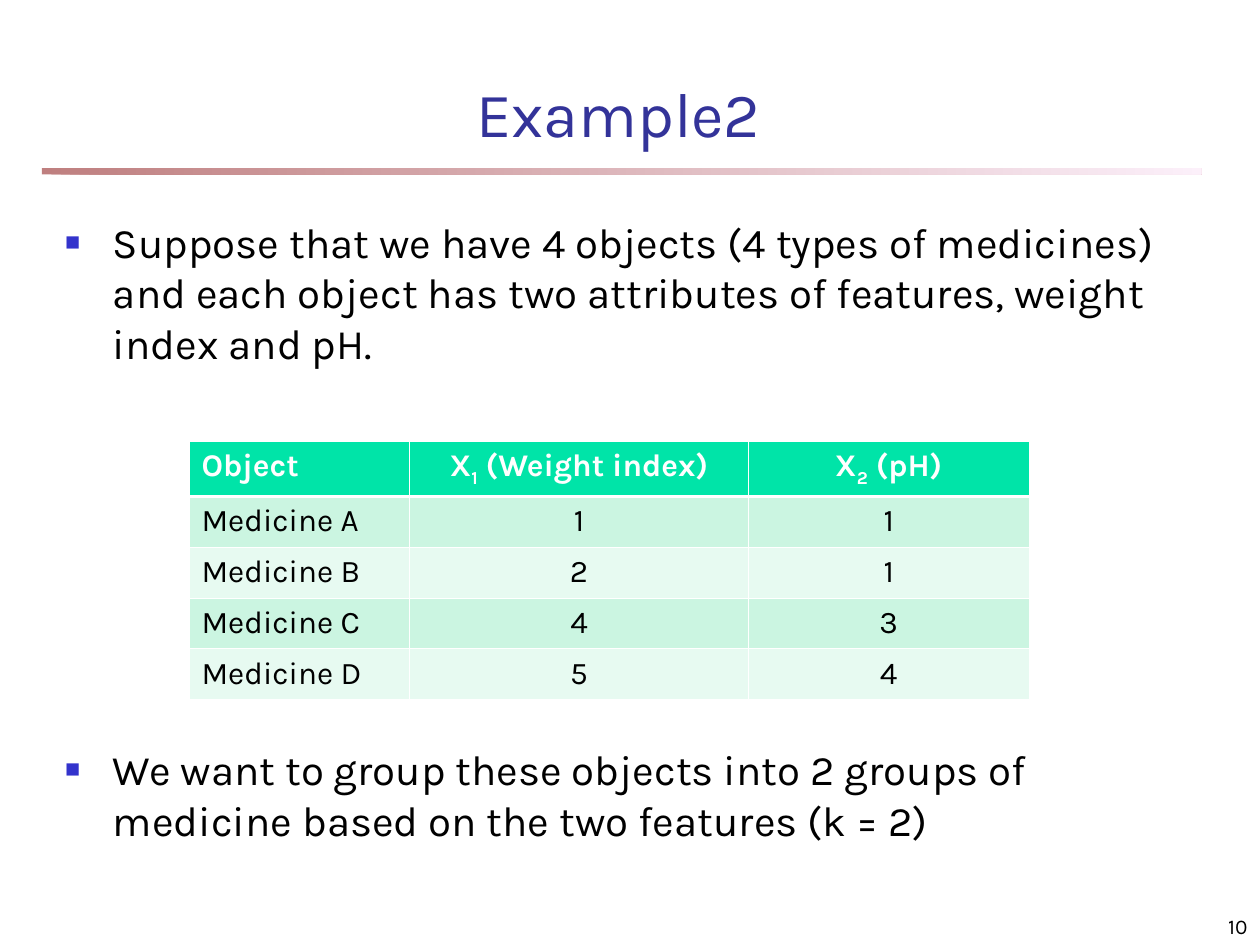
from dataclasses import dataclass

from lxml.etree import SubElement as Sub
from pptx import Presentation
from pptx.dml.color import RGBColor as Rgb
from pptx.enum.shapes import MSO_SHAPE as Kind
from pptx.enum.text import MSO_ANCHOR as Anchor, MSO_AUTO_SIZE as Fit, PP_ALIGN as Align
from pptx.oxml.ns import qn
from pptx.util import Inches, Pt


@dataclass(frozen=True)
class Theme:
    font: str = "Karla"
    title: str = "333399"
    ink: str = "000000"
    mark: str = "3333CC"
    white: str = "FFFFFF"
    head: str = "00E4A8"
    bands: tuple = ("CBF5E1", "E7FAF1")
    rule: tuple = ("800000", "FAE2F6")
    big: int = 36
    body: int = 24
    cell: int = 18
    small: int = 12
    thin: float = 0.45
    thick: float = 1.5


T = Theme()
UNIT = Inches(1 / 12)  # the slide is a grid of 120 columns and 90 rows
ROWS = [
    ["Object", "X_1_ (Weight index)", "X_2_ (pH)"],
    ["Medicine A", "1", "1"],
    ["Medicine B", "2", "1"],
    ["Medicine C", "4", "3"],
    ["Medicine D", "5", "4"],
]
POINTS = [
    ("Suppose that we have 4 objects (4 types of medicines) and each object "
     "has two attributes of features, weight index and pH.", 6),
    ("We want to group these objects into 2 groups of medicine based on the "
     "two features (k = 2)", 215),  # leaves room for the table
]


def grid(*nums):
    return [int(n * UNIT) for n in nums]


def place(shape, *nums):
    shape.left, shape.top, shape.width, shape.height = grid(*nums)


def write(para, text, size, color=T.ink, align=Align.LEFT, bold=False):
    """Fill a paragraph; text between underscores is set as subscript."""
    para.alignment = align
    for i, part in enumerate(text.split("_")):
        run = para.add_run()
        run.text = part
        font = run.font
        font.name, font.size, font.bold = T.font, Pt(size), bold
        font.color.rgb = Rgb.from_string(color)
        if i % 2:
            run._r.get_or_add_rPr().set("baseline", "-25000")


def setup(frame, anchor):
    frame.word_wrap = True
    frame.auto_size = Fit.NONE
    frame.vertical_anchor = anchor
    return frame.paragraphs[0]


def bullet(para):
    props = para._p.get_or_add_pPr()
    indent = int(Inches(0.38))
    props.set("marL", str(indent))
    props.set("indent", str(-indent))
    Sub(Sub(props, qn("a:buClr")), qn("a:srgbClr"), val=T.mark)
    Sub(props, qn("a:buSzPct"), val="60000")
    Sub(props, qn("a:buChar"), char="■")


def rule(slide):
    bar = slide.shapes.add_shape(Kind.RECTANGLE, *grid(4, 16, 110.4, 0.6))
    bar.shadow.inherit = False
    bar.line.fill.background()
    bar.fill.gradient()
    bar.fill.gradient_angle = 0
    for stop, color in zip(bar.fill.gradient_stops, T.rule):
        stop.color.rgb = Rgb.from_string(color)
    for node in bar._element.spPr.iter(qn("a:srgbClr")):
        Sub(node, qn("a:alpha"), val="50000")


def points(holder):
    place(holder, 5, 20, 108, 63)
    para = setup(holder.text_frame, Anchor.TOP)
    for i, (text, gap) in enumerate(POINTS):
        if i:
            para = holder.text_frame.add_paragraph()
        write(para, text, T.body)
        para.line_spacing, para.space_before = 1.0, Pt(gap)
        bullet(para)


def border(cell, row):
    props = cell._tc.get_or_add_tcPr()
    heavy = {0: "B", 1: "T"}.get(row)  # the line under the header
    for side in "LRTB":
        width = T.thick if side == heavy else T.thin
        line = Sub(props, qn("a:ln" + side), w=str(int(Pt(width))))
        Sub(Sub(line, qn("a:solidFill")), qn("a:srgbClr"), val=T.white)


def table(slide):
    cols, highs = [21, 32.3, 26.7], [5.28] + [4.84] * 4
    area = grid(18, 42, sum(cols), sum(highs))
    grid_tab = slide.shapes.add_table(len(ROWS), len(cols), *area).table
    for col, width in zip(grid_tab.columns, grid(*cols)):
        col.width = width
    for r, (line, high) in enumerate(zip(ROWS, grid(*highs))):
        grid_tab.rows[r].height = high
        head = r == 0
        for c, text in enumerate(line):
            cell = grid_tab.cell(r, c)
            border(cell, r)
            cell.fill.solid()
            cell.fill.fore_color.rgb = Rgb.from_string(
                T.head if head else T.bands[(r - 1) % 2])
            write(cell.text_frame.paragraphs[0], text, T.cell, bold=head,
                  color=T.white if head else T.ink,
                  align=Align.CENTER if c else Align.LEFT)


def main():
    deck = Presentation()
    deck.slide_width, deck.slide_height = grid(120, 90)
    slide = deck.slides.add_slide(deck.slide_layouts[1])

    # Title and the rule below it
    rule(slide)
    title = slide.shapes.title
    place(title, 11.4, 4.2, 95, 13)
    write(setup(title.text_frame, Anchor.MIDDLE), "Example2", T.big,
          color=T.title, align=Align.CENTER)

    # Bullets with the table between them
    points(slide.placeholders[1])
    table(slide)

    # Page number
    page = slide.shapes.add_textbox(*grid(95, 85, 25, 5))
    write(setup(page.text_frame, Anchor.BOTTOM), "10", T.small, align=Align.RIGHT)

    deck.save("out.pptx")


if __name__ == "__main__":
    main()
